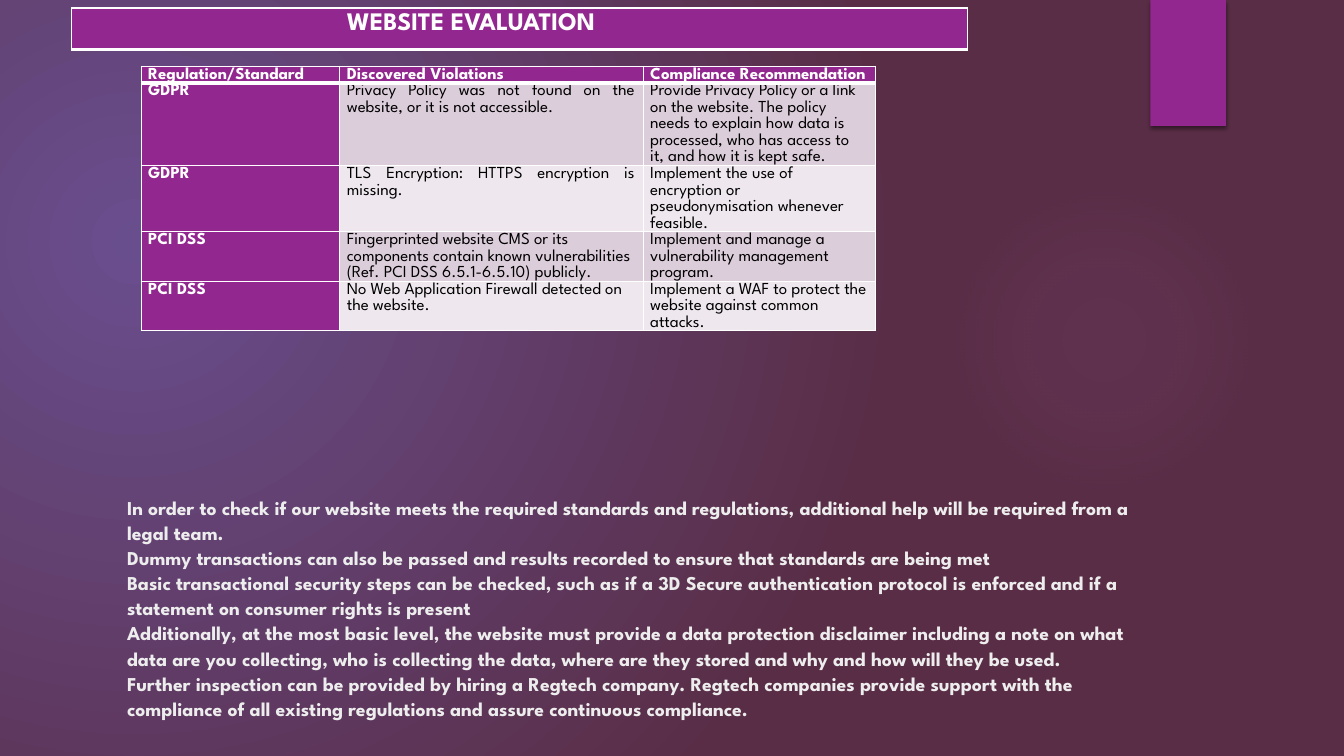
import pptx
import pptx.dml.color
import pptx.enum.shapes
import pptx.enum.text
import pptx.oxml
import pptx.oxml.ns
import pptx.util
from lxml import etree
from pptx.dml.color import RGBColor
from pptx.util import Inches

FONT = "League Spartan"
PURPLE = RGBColor(0x92, 0x27, 0x8F)
WHITE = RGBColor(0xFF, 0xFF, 0xFF)
BLACK = RGBColor(0x00, 0x00, 0x00)
PALE_TEXT = RGBColor(0xED, 0xED, 0xED)
BAND_DARK = RGBColor(0xDC, 0xCD, 0xDB)
BAND_LIGHT = RGBColor(0xEE, 0xE8, 0xEE)
BACK_INNER = RGBColor(0x69, 0x4E, 0x8E)
BACK_OUTER = RGBColor(0x59, 0x2D, 0x46)
GLOW = RGBColor(0xBA, 0x69, 0xB8)

LEFT = pptx.enum.text.PP_ALIGN.LEFT
JUSTIFY = pptx.enum.text.PP_ALIGN.JUSTIFY

HEADINGS = ("Regulation/Standard", "Discovered Violations", "Compliance Recommendation")
FINDINGS = (
    ("GDPR",
     "Privacy Policy was not found on the website, or it is not accessible.",
     "Provide Privacy Policy or a link on the website. The policy needs to explain "
     "how data is processed, who has access to it, and how it is kept safe."),
    ("GDPR",
     "TLS Encryption: HTTPS encryption is missing.",
     "Implement the use of encryption or pseudonymisation whenever feasible."),
    ("PCI DSS",
     "Fingerprinted website CMS or its components contain known vulnerabilities "
     "(Ref. PCI DSS 6.5.1-6.5.10) publicly.",
     "Implement and manage a vulnerability management program."),
    ("PCI DSS",
     "No Web Application Firewall detected on the website.",
     "Implement a WAF to protect the website against common attacks."),
)
NOTES = (
    "In order to check if our website meets the required standards and regulations, "
    "additional help will be required from a legal team.",
    "Dummy transactions can also be passed and results recorded to ensure that "
    "standards are being met",
    "Basic transactional security steps can be checked, such as if a 3D Secure "
    "authentication protocol is enforced and if a statement on consumer rights is present",
    "Additionally, at the most basic level, the website must provide a data protection "
    "disclaimer including a note on what data are you collecting, who is collecting the "
    "data, where are they stored and why and how will they be used.",
    "Further inspection can be provided by hiring a Regtech company. Regtech companies "
    "provide support with the compliance of all existing regulations and assure "
    "continuous compliance.",
)


def add_node(parent, tag, **attributes):
    node = etree.SubElement(parent, pptx.oxml.ns.qn(tag))
    for name, value in attributes.items():
        node.set(name, str(value))
    return node


def add_color(parent, color, opacity=100):
    node = add_node(parent, "a:srgbClr", val=color)
    if opacity < 100:
        add_node(node, "a:alpha", val=opacity * 1000)


def fill_radial(fill, element, stops, focus):
    """Stops are (position, color, opacity); all numbers are percentages."""
    fill.gradient()
    gradient = next(element.iter(pptx.oxml.ns.qn("a:gradFill")))
    gradient.clear()
    stop_list = add_node(gradient, "a:gsLst")
    for position, color, opacity in stops:
        add_color(add_node(stop_list, "a:gs", pos=position * 1000), color, opacity)
    circle = add_node(gradient, "a:path", path="circle")
    sides = {side: value * 1000 for side, value in zip("ltrb", focus)}
    add_node(circle, "a:fillToRect", **sides)


def add_plain_shape(page, kind, left, top, width, height):
    shape = page.shapes.add_shape(kind, Inches(left), Inches(top), Inches(width), Inches(height))
    shape.shadow.inherit = False
    shape.line.fill.background()
    return shape


def add_decoration(page):
    kinds = pptx.enum.shapes.MSO_SHAPE
    glow = add_plain_shape(page, kinds.OVAL, 9.41, 1.83, 3.08, 3.08)
    fill_radial(glow.fill, glow.element, ((0, GLOW, 7), (36, GLOW, 6), (69, GLOW, 0)),
                (50, 50, 50, 50))

    ribbon = add_plain_shape(page, kinds.RECTANGLE, 11.41, 0, 0.75, 1.25)
    ribbon.fill.solid()
    ribbon.fill.fore_color.rgb = PURPLE
    effects = next(ribbon.element.iter(pptx.oxml.ns.qn("a:effectLst")))
    shadow = add_node(effects, "a:outerShdw", blurRad=pptx.util.Pt(3), dist=pptx.util.Pt(2),
                      dir=90 * 60000, algn="ctr", rotWithShape=0)
    add_color(shadow, BLACK, 45)


def format_para(para, size, color, bold, align=LEFT, spacing=1.07):
    para.font.name = FONT
    para.font.size = pptx.util.Pt(size)
    para.font.color.rgb = color
    para.font.bold = bold
    para.alignment = align
    para.line_spacing = spacing
    para.space_before = para.space_after = pptx.util.Pt(0)


def format_cell(cell, fill, top=1, bottom=1):
    """Border widths are in points."""
    properties = cell._tc.get_or_add_tcPr()
    for side, width in (("L", 1), ("R", 1), ("T", top), ("B", bottom)):
        line = add_node(properties, "a:ln" + side, w=pptx.util.Pt(width))
        add_color(add_node(line, "a:solidFill"), WHITE)
    cell.fill.solid()
    cell.fill.fore_color.rgb = fill


def add_plain_table(page, left, top, widths, heights):
    frame = page.shapes.add_table(len(heights), len(widths), Inches(left), Inches(top),
                                  Inches(sum(widths)), Inches(sum(heights)))
    table = frame.table
    table.first_row = table.horz_banding = False
    for column, width in zip(table.columns, widths):
        column.width = Inches(width)
    for row, height in zip(table.rows, heights):
        row.height = Inches(height)
    return table


def add_findings(page):
    table = add_plain_table(page, 1.4, 0.66, (1.97, 3.01, 2.3), (0.16, 0.82, 0.65, 0.49, 0.49))
    for row, texts in enumerate((HEADINGS,) + FINDINGS):
        for column, text in enumerate(texts):
            cell = table.cell(row, column)
            strong = row == 0 or column == 0
            band = BAND_DARK if row % 2 else BAND_LIGHT
            format_cell(cell, PURPLE if strong else band,
                        top=3 if row == 1 else 1, bottom=3 if row == 0 else 1)
            cell.margin_left, cell.margin_right = Inches(0.07), Inches(0.08)
            cell.margin_top = cell.margin_bottom = 0
            cell.text = text
            justified = column == 1 and row < 3
            format_para(cell.text_frame.paragraphs[0], 12, WHITE if strong else BLACK,
                        strong, JUSTIFY if justified else LEFT)


def add_banner(page):
    cell = add_plain_table(page, 0.71, 0.08, (8.89,), (0.41,)).cell(0, 0)
    format_cell(cell, PURPLE, bottom=3)
    cell.margin_left = Inches(2.73)
    cell.text = "WEBSITE EVALUATION"
    format_para(cell.text_frame.paragraphs[0], 18, WHITE, True, spacing=1)


def fill_notes(page):
    box = page.shapes.title
    box.left, box.top, box.width, box.height = map(Inches, (1.16, 4.85, 10.29, 1.53))
    frame = box.text_frame
    frame.text = "\n".join(NOTES)
    frame.word_wrap = True
    frame.auto_size = pptx.enum.text.MSO_AUTO_SIZE.NONE
    frame.vertical_anchor = pptx.enum.text.MSO_ANCHOR.TOP
    for para in frame.paragraphs:
        format_para(para, 14, PALE_TEXT, True)


def main():
    deck = pptx.Presentation()
    deck.slide_width, deck.slide_height = Inches(13.33), Inches(7.5)
    page = deck.slides.add_slide(deck.slide_layouts.get_by_name("Title Only"))

    # Background and decoration
    fill_radial(page.background.fill, page.element,
                ((0, BACK_INNER, 100), (100, BACK_OUTER, 100)), (45, 65, 125, 100))
    add_decoration(page)

    # Content
    fill_notes(page)
    add_findings(page)
    add_banner(page)
    deck.save("out.pptx")


if __name__ == "__main__":
    main()
